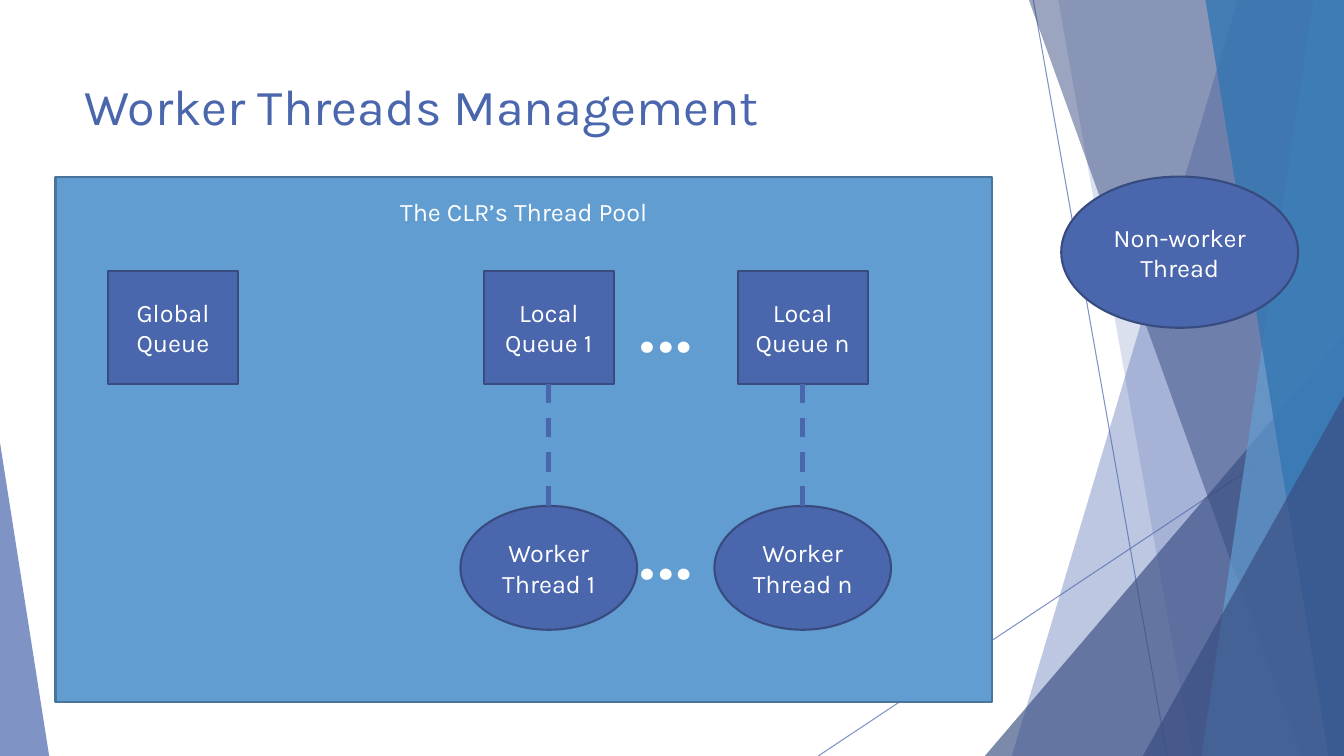
"""Build the slide on how a thread pool manages its worker threads."""
from lxml import etree
from pptx import Presentation
from pptx.dml.color import RGBColor
from pptx.enum.dml import MSO_LINE
from pptx.enum.shapes import MSO_CONNECTOR, MSO_SHAPE
from pptx.enum.text import MSO_ANCHOR, PP_ALIGN
from pptx.oxml import parse_xml
from pptx.oxml.ns import nsdecls, qn
from pptx.util import Cm, Pt

FONT = "Karla"
BLUE, NAVY, SKY, DEEP, WHITE = "4A66AC", "384C81", "629DD1", "3477B2", "FFFFFF"
BLUE_EDGE, SKY_EDGE = "374B7F", "49749B"
WIDTH, HEIGHT = 33.87, 19.05

RAYS = [((26.04, 0), (29.41, HEIGHT)), ((WIDTH, 10.24), (20.62, HEIGHT))]
BAND, TRIANGLE = "band", "triangle"
FACETS = [
    (BAND, (31.19, 25.5), BLUE, 36),
    (BAND, (26.67, 30.05), BLUE, 20),
    (TRIANGLE, (24.82, 8.46, WIDTH, 1), NAVY, 66),
    (BAND, (25.93, 32.79), NAVY, 50),
    (BAND, (33.1, 30.28), SKY, 70),
    (BAND, (30.38, 33.48), DEEP, 80),
    (TRIANGLE, (28.8, 9.98, WIDTH, 1), NAVY, 66),
    (TRIANGLE, (0, 11.15, 1.24, 0), BLUE, 70),
]

TITLE = "Worker Threads Management"
POOL = "The CLR’s Thread Pool"
OUTSIDE_THREAD = "Non-worker Thread"
GLOBAL_QUEUE, GLOBAL_CENTER = "Global\nQueue", 4.36
WORKERS = [("1", 13.83), ("n", 20.23)]
QUEUE_TOP, QUEUE_WIDTH, QUEUE_HEIGHT = 6.83, 3.28, 2.84
THREAD_TOP, THREAD_WIDTH, THREAD_HEIGHT = 12.75, 4.45, 3.12
ELLIPSIS_TOPS = [6.22, 11.94]

presentation = Presentation()
presentation.slide_width, presentation.slide_height = Cm(WIDTH), Cm(HEIGHT)
slide = presentation.slides.add_slide(presentation.slide_layouts[6])
shapes = slide.shapes


def paint(color_format, color, opacity=100):
    color_format.rgb = RGBColor.from_string(color)
    if opacity < 100:
        element = color_format._xFill.find(qn("a:srgbClr"))
        etree.SubElement(element, qn("a:alpha")).set("val", str(opacity * 1000))


def fill_shape(shape, color, opacity=100, edge=None):
    shape.shadow.inherit = False
    shape.fill.solid()
    paint(shape.fill.fore_color, color, opacity)
    if edge:
        paint(shape.line.color, edge)
        shape.line.width = Pt(1.5)
    else:
        shape.line.fill.background()


def write(shape, text, size=18, color=WHITE, align=PP_ALIGN.CENTER,
          anchor=MSO_ANCHOR.MIDDLE, wrap=True):
    frame = shape.text_frame
    frame.word_wrap = wrap
    frame.vertical_anchor = anchor
    frame.text = text
    for paragraph in frame.paragraphs:
        paragraph.alignment = align
        for run in paragraph.runs:
            run.font.name, run.font.size = FONT, Pt(size)
            paint(run.font.color, color)


def add_line(start, end, width, opacity=100, dash=None):
    points = [Cm(value) for value in (*start, *end)]
    line = shapes.add_connector(MSO_CONNECTOR.STRAIGHT, *points)
    line.line.width = Pt(width)
    line.line.fill.solid()
    paint(line.line.fill.fore_color, BLUE, opacity)
    if dash:
        line.line.dash_style = dash
    line._element.spPr.append(parse_xml(f"<a:effectLst {nsdecls('a')}/>"))


def add_facet(kind, geometry, color, opacity):
    if kind == BAND:
        top_left, bottom_left = geometry
        builder = shapes.build_freeform(Cm(top_left), 0)
        corners = [(WIDTH, 0), (WIDTH, HEIGHT), (bottom_left, HEIGHT)]
        builder.add_line_segments([(Cm(x), Cm(y)) for x, y in corners], close=True)
        shape = builder.convert_to_shape()
    else:
        left, top, right, apex = geometry
        shape = shapes.add_shape(MSO_SHAPE.ISOSCELES_TRIANGLE, Cm(left), Cm(top),
                                 Cm(right - left), Cm(HEIGHT - top))
        shape.adjustments[0] = apex
    fill_shape(shape, color, opacity)


def add_node(kind, text, center, top, width, height):
    shape = shapes.add_shape(kind, Cm(center - width / 2), Cm(top), Cm(width), Cm(height))
    fill_shape(shape, BLUE, edge=BLUE_EDGE)
    write(shape, text)


def add_queue(text, center):
    add_node(MSO_SHAPE.RECTANGLE, text, center, QUEUE_TOP, QUEUE_WIDTH, QUEUE_HEIGHT)


for start, end in RAYS:
    add_line(start, end, 0.75, opacity=70)
for facet in FACETS:
    add_facet(*facet)

title = shapes.add_textbox(Cm(1.88), Cm(1.7), Cm(23.88), Cm(1.9))
write(title, TITLE, size=36, color=BLUE, align=PP_ALIGN.LEFT)

pool = shapes.add_shape(MSO_SHAPE.RECTANGLE, Cm(1.4), Cm(4.45), Cm(23.6), Cm(13.23))
fill_shape(pool, SKY, edge=SKY_EDGE)
write(pool, POOL, anchor=MSO_ANCHOR.TOP)
pool.text_frame.margin_top = Cm(0.5)

add_queue(GLOBAL_QUEUE, GLOBAL_CENTER)
for label, center in WORKERS:
    add_queue(f"Local\nQueue {label}", center)
    add_node(MSO_SHAPE.OVAL, f"Worker Thread {label}", center,
             THREAD_TOP, THREAD_WIDTH, THREAD_HEIGHT)
    add_line((center, QUEUE_TOP + QUEUE_HEIGHT), (center, THREAD_TOP), 3.5,
             dash=MSO_LINE.DASH)
for top in ELLIPSIS_TOPS:
    box = shapes.add_textbox(Cm(15.85), Cm(top), Cm(2.39), Cm(3.33))
    write(box, "…", size=72, align=PP_ALIGN.LEFT, anchor=MSO_ANCHOR.TOP, wrap=False)

add_node(MSO_SHAPE.OVAL, OUTSIDE_THREAD, 29.73, 4.45, 5.97, 3.81)

presentation.save("out.pptx")
